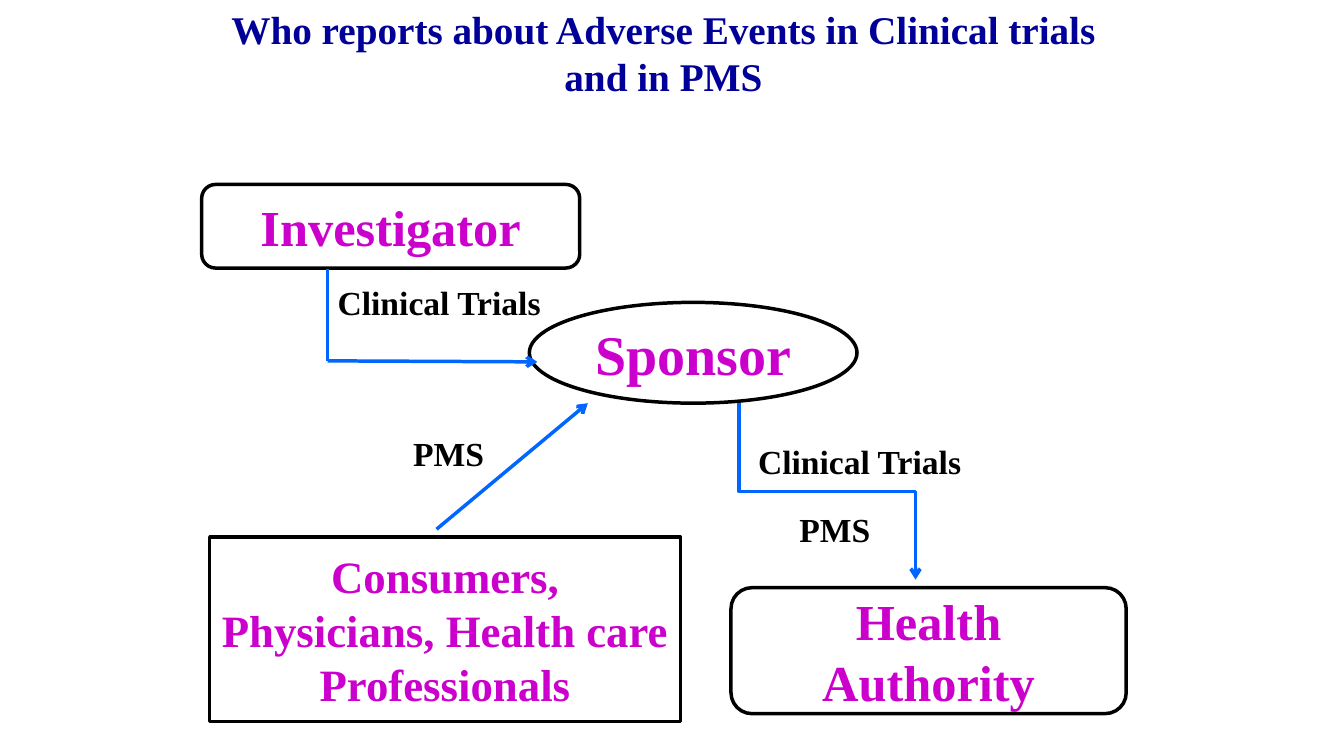
from dataclasses import dataclass

from lxml.etree import SubElement
from pptx import Presentation
from pptx.dml.color import RGBColor
from pptx.enum.shapes import MSO_CONNECTOR as Connector, MSO_SHAPE as Shape
from pptx.enum.text import MSO_ANCHOR as Anchor, MSO_AUTO_SIZE as AutoSize, PP_ALIGN as Align
from pptx.oxml.ns import qn
from pptx.util import Inches, Pt


@dataclass(frozen=True)
class Theme:
    font: str = "Times New Roman"
    title: RGBColor = RGBColor(0x00, 0x00, 0x99)
    party: RGBColor = RGBColor(0xCC, 0x00, 0xCC)
    arrow: RGBColor = RGBColor(0x00, 0x66, 0xFF)
    ink: RGBColor = RGBColor(0x00, 0x00, 0x00)
    paper: RGBColor = RGBColor(0xFF, 0xFF, 0xFF)
    title_size: int = 28
    label_size: int = 24
    line_width: float = 2.5


theme = Theme()


def write(frame, text, size, color, align):
    frame.text = text
    paragraph = frame.paragraphs[0]
    paragraph.alignment = align
    font = paragraph.font
    font.name, font.size, font.bold = theme.font, Pt(size), True
    font.color.rgb = color


def add_line(kind, start, end, arrow):
    line = slide.shapes.add_connector(kind, *map(Inches, start + end))
    line.line.color.rgb = theme.arrow
    line.line.width = Pt(theme.line_width)
    properties = line._element.spPr
    if arrow:
        SubElement(properties.find(qn("a:ln")), qn("a:tailEnd"), type="arrow")
    SubElement(properties, qn("a:effectLst"))
    return line


presentation = Presentation()
presentation.slide_width, presentation.slide_height = Inches(13.33), Inches(7.5)
slide = presentation.slides.add_slide(presentation.slide_layouts[5])

title = slide.shapes.title
title.left, title.top, title.width, title.height = map(Inches, (2.08, 0, 9, 1.04))
title.text_frame.vertical_anchor = Anchor.TOP
title.text_frame.auto_size = AutoSize.NONE
write(title.text_frame, "Who reports about Adverse Events in Clinical trials and in PMS",
      theme.title_size, theme.title, Align.CENTER)

parties = [
    ("Sponsor", Shape.OVAL, (5.25, 3, 3.25, 1), 40),
    ("Investigator", Shape.ROUNDED_RECTANGLE, (2, 1.83, 3.75, 0.83), 36),
    ("Health Authority", Shape.ROUNDED_RECTANGLE, (7.25, 5.83, 3.92, 1.25), 36),
    ("Consumers, Physicians, Health care Professionals", Shape.RECTANGLE,
     (2.08, 5.33, 4.67, 1.83), 32),
]
for name, kind, box, size in parties:
    party = slide.shapes.add_shape(kind, *map(Inches, box))
    party.shadow.inherit = False
    party.fill.solid()
    party.fill.fore_color.rgb = theme.paper
    party.line.color.rgb = theme.ink
    party.line.width = Pt(theme.line_width)
    party.text_frame.word_wrap = True
    party.text_frame.vertical_anchor = Anchor.MIDDLE
    write(party.text_frame, name, size, theme.party, Align.CENTER)

straight_lines = [
    ((3.25, 2.67), (3.25, 3.58), False),
    ((3.25, 3.58), (5.33, 3.59), True),
    ((4.33, 5.25), (5.83, 4), True),
]
for start, end, arrow in straight_lines:
    add_line(Connector.STRAIGHT, start, end, arrow)

sponsor_to_authority = add_line(Connector.ELBOW, (7.33, 4), (9.08, 5.75), True)
transform = sponsor_to_authority._element.spPr.find(qn("a:xfrm"))
transform.set("rot", "16200000")
transform.set("flipH", "1")

labels = [
    ("Clinical Trials", 3.25, 2.75, 2.23),
    ("Clinical Trials", 7.42, 4.33, 2.23),
    ("PMS", 4, 4.25, 0.91),
    ("PMS", 7.83, 5, 0.91),
]
for text, left, top, width in labels:
    label = slide.shapes.add_textbox(*map(Inches, (left, top, width, 0.5)))
    label.text_frame.word_wrap = False
    label.text_frame.auto_size = AutoSize.SHAPE_TO_FIT_TEXT
    write(label.text_frame, text, theme.label_size, theme.ink, Align.LEFT)

presentation.save("out.pptx")
